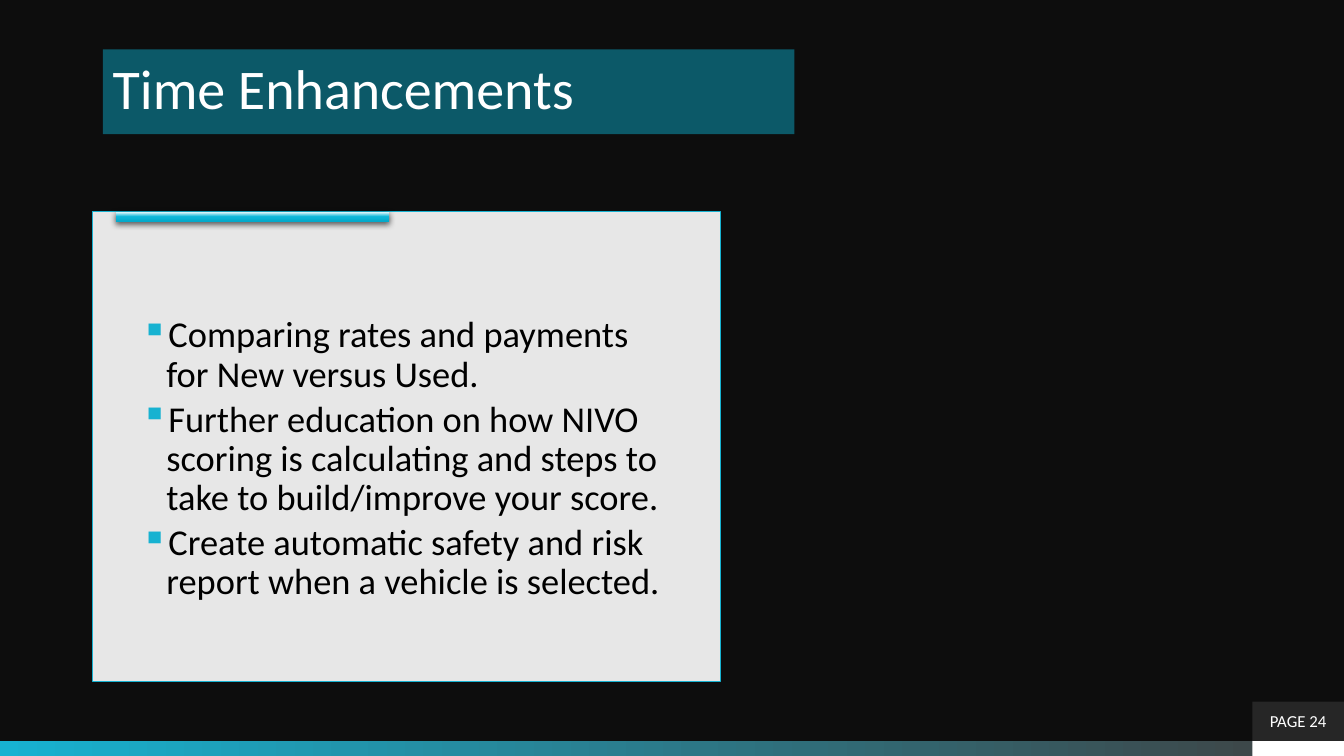
from lxml import etree
from pptx import Presentation
from pptx import util as u
from pptx.dml.color import RGBColor
from pptx.enum import shapes, text
from pptx.oxml.ns import qn

PX = 9144  # EMU in one px, 100 px to the inch
COLORS = {
    "night": "0D0D0D", "petrol": "0C5968", "cyan": "17B2D1", "grey": "404040",
    "charcoal": "262626", "white": "FFFFFF", "black": "000000",
    "sky": "0EB8DA", "deep sky": "04A9CA",
}
RECT = shapes.MSO_SHAPE.RECTANGLE
ENHANCEMENTS = [
    "Comparing rates and payments for New versus Used.",
    "Further education on how NIVO scoring is calculating and steps to "
    "take to build/improve your score.",
    "Create automatic safety and risk report when a vehicle is selected.",
]


def rgb(name):
    return RGBColor.from_string(COLORS[name])


def add_xml(parent, tag, **attributes):
    return etree.SubElement(parent, qn(tag), attributes)


def add_color(parent, name, alpha=None):
    color = add_xml(parent, "a:srgbClr", val=COLORS[name])
    if alpha is not None:
        add_xml(color, "a:alpha", val=str(alpha * 1000))


class SlideBuilder:
    def __init__(self, slide, font="Calibri"):
        self.slide = slide
        self.font = font

    def background(self, color):
        fill = self.slide.background.fill
        fill.solid()
        fill.fore_color.rgb = rgb(color)

    def box(self, left, top, width, height, color=None, kind=RECT):
        shape = self.slide.shapes.add_shape(
            kind, left * PX, top * PX, width * PX, height * PX)
        shape.shadow.inherit = False
        shape.line.fill.background()
        if color:
            shape.fill.solid()
            shape.fill.fore_color.rgb = rgb(color)
        return shape

    def gradient_box(self, left, top, width, height, stops, angle=0, kind=RECT):
        """Fill with (percent, colour) stops; the angle runs counter-clockwise."""
        shape = self.box(left, top, width, height, kind=kind)
        shape.fill.gradient()
        shape.fill.gradient_angle = angle
        stop_list = next(shape._element.spPr.iter(qn("a:gsLst")))
        for default_stop in list(stop_list):
            stop_list.remove(default_stop)
        for percent, color in stops:
            add_color(add_xml(stop_list, "a:gs", pos=str(percent * 1000)), color)
        return shape

    def translucent(self, shape, percent):
        color = next(shape._element.spPr.iter(qn("a:srgbClr")))
        add_xml(color, "a:alpha", val=str(percent * 1000))

    def drop_shadow(self, shape, blur, distance, alpha):
        effects = shape._element.spPr.find(qn("a:effectLst"))
        shadow = add_xml(effects, "a:outerShdw", blurRad=str(u.Pt(blur)),
                         dist=str(u.Pt(distance)), dir="5400000", rotWithShape="0")
        add_color(shadow, "black", alpha)

    def add_text(self, shape, *paragraphs, size, color="white", align="LEFT",
                 anchor="MIDDLE", insets=(10, 5, 10, 5), line_spacing=1.0,
                 space_after=0, bullet=None):
        frame = shape.text_frame
        frame.word_wrap = True
        frame.vertical_anchor = text.MSO_ANCHOR[anchor]
        (frame.margin_left, frame.margin_top,
         frame.margin_right, frame.margin_bottom) = [inset * PX for inset in insets]
        for index, wording in enumerate(paragraphs):
            paragraph = frame.add_paragraph() if index else frame.paragraphs[0]
            paragraph.text = wording
            paragraph.alignment = text.PP_ALIGN[align]
            paragraph.line_spacing = line_spacing
            paragraph.space_after = u.Pt(space_after)
            if bullet:
                self.add_bullet(paragraph, bullet)
            font = paragraph.font
            font.name, font.size = self.font, u.Pt(size)
            font.color.rgb = rgb(color)

    def add_bullet(self, paragraph, mark, indent=25):
        properties = paragraph._p.get_or_add_pPr()
        properties.set("marL", str(indent * PX))
        properties.set("indent", str(-indent * PX))
        add_color(add_xml(properties, "a:buClr"), "cyan")
        add_xml(properties, "a:buChar", char=mark)

    def text_box(self, left, top, width, height):
        return self.slide.shapes.add_textbox(
            left * PX, top * PX, width * PX, height * PX)


def main():
    deck = Presentation()
    deck.slide_width, deck.slide_height = 1333 * PX, 750 * PX
    page = SlideBuilder(deck.slides.add_slide(deck.slide_layouts[6]))
    page.background("night")

    page.gradient_box(0, 735, 1333, 15, [(0, "cyan"), (100, "grey")])
    page.box(1242, 735, 91, 15, "white")

    title = page.box(102, 49, 686, 84, "petrol")
    page.add_text(title, "Time Enhancements", size=40, line_spacing=0.9,
                  insets=(10, 12, 10, 12))
    page_number = page.box(1242, 696, 91, 39, "charcoal")
    page.add_text(page_number, "PAGE 24", size=12, align="CENTER")

    card_area = (92, 210, 622, 466)
    card = page.box(*card_area, "white")
    page.translucent(card, 90)
    card.line.color.rgb = rgb("cyan")
    card.line.width = u.Pt(0.5)
    page.add_text(page.text_box(*card_area), *ENHANCEMENTS, size=26, color="black",
                  anchor="TOP", insets=(48, 104, 48, 20), line_spacing=0.9,
                  space_after=4, bullet="▪")

    accent = page.gradient_box(
        115, 210, 271, 10, [(0, "white"), (50, "sky"), (100, "deep sky")],
        angle=270, kind=shapes.MSO_SHAPE.ROUNDED_RECTANGLE)
    accent.adjustments[0] = 0
    page.drop_shadow(accent, blur=4.5, distance=1.5, alpha=63)

    deck.save("out.pptx")


if __name__ == "__main__":
    main()
